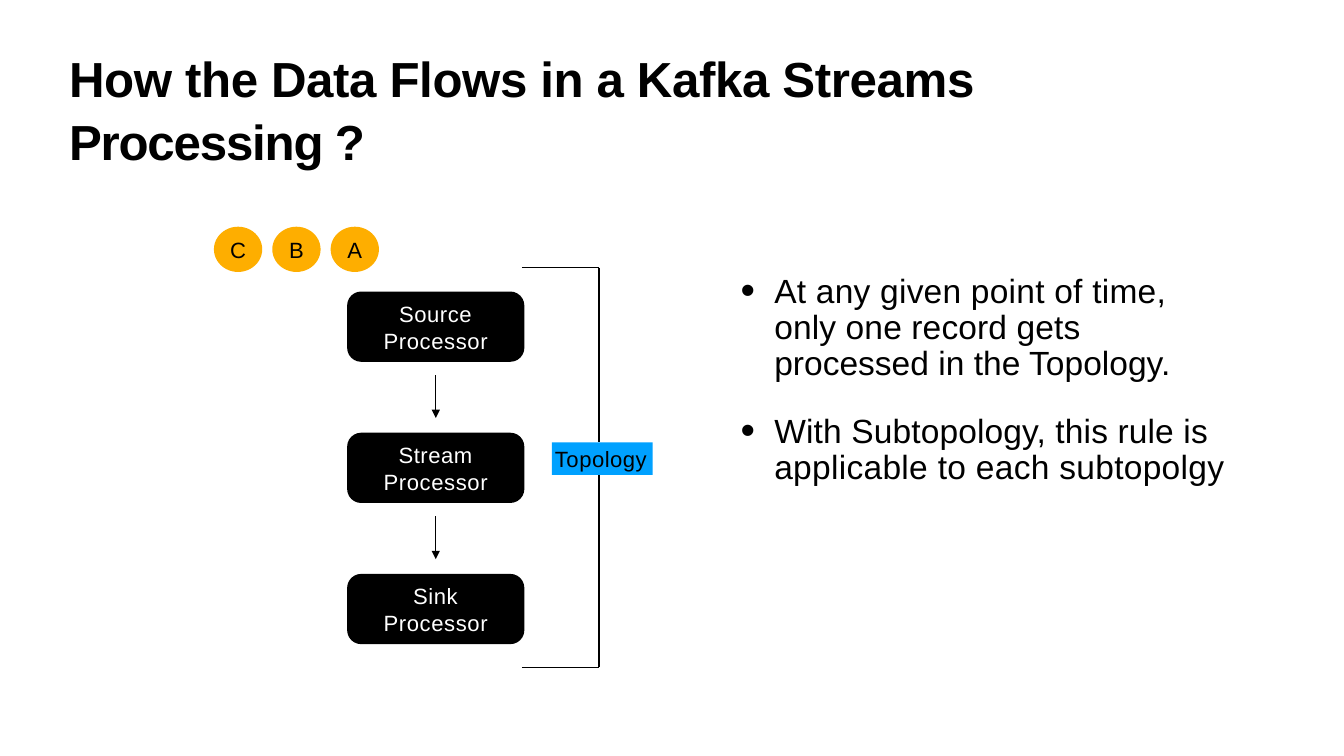
from pptx import Presentation
from pptx.dml.color import RGBColor
from pptx.enum.shapes import MSO_CONNECTOR, MSO_SHAPE
from pptx.enum.text import MSO_ANCHOR, PP_ALIGN
from pptx.oxml.ns import qn
from pptx.util import Inches, Pt
from lxml import etree

LEFT, CENTER = PP_ALIGN.LEFT, PP_ALIGN.CENTER
TOP, MIDDLE = MSO_ANCHOR.TOP, MSO_ANCHOR.MIDDLE
RECT, ROUNDED, OVAL = MSO_SHAPE.RECTANGLE, MSO_SHAPE.ROUNDED_RECTANGLE, MSO_SHAPE.OVAL
STRAIGHT = MSO_CONNECTOR.STRAIGHT

COLORS = {"black": "000000", "white": "FFFFFF", "orange": "FEAE00", "blue": "00A1FF"}
FONT = "Arial"

TITLE = [[("How the Data Flows in a Kafka Streams", -0.43), ("Processing ?", -1.4)]]
PROCESSORS = ["Source", "Stream", "Sink"]
RECORDS = ["A", "B", "C"]
BULLETS = [
    [("At any given point of time,", 0.3), ("only one record gets", 0.2),
     ("processed in the Topology.", 0.05)],
    [("With Subtopology, this rule is", 0.2), ("applicable to each subtopolgy", 0.4)],
]

BOX_LEFT, BOX_TOP, BOX_W, BOX_H, BOX_PITCH = 5.68, 4.77, 2.9, 1.15, 2.31
ARROW_START, ARROW_END = 1.37, 2.07
RECORD_LEFT, RECORD_TOP, RECORD_W, RECORD_H, RECORD_PITCH = 5.41, 3.71, 0.79, 0.74, 0.955
BRACKET_LEFT, BRACKET_RIGHT, BRACKET_TOP, BRACKET_BOTTOM = 8.54, 9.8, 4.38, 10.92
LABEL_LEFT, LABEL_TOP, LABEL_W, LABEL_H = 9.03, 7.24, 1.65, 0.53

prs = Presentation()
prs.slide_width, prs.slide_height = Inches(21.99), Inches(12.37)
s = prs.slides.add_slide(prs.slide_layouts[6])


def write_text(sp, paragraphs, size=26, color="black", bold=False, align=CENTER,
               anchor=MIDDLE, spacing=None, gap=0, bullet=False, inset=(0, 0)):
    tf = sp.text_frame
    tf.word_wrap = True
    tf.vertical_anchor = anchor
    tf.margin_left, tf.margin_top = Inches(inset[0]), Inches(inset[1])
    tf.margin_right = tf.margin_bottom = 0
    for i, lines in enumerate(paragraphs):
        p = tf.add_paragraph() if i else tf.paragraphs[0]
        p.alignment = align
        if spacing:
            p.line_spacing = spacing
        if i:
            p.space_before = Pt(gap)
        if bullet:
            pPr = p._p.get_or_add_pPr()
            pPr.set("marL", str(Inches(0.56)))
            pPr.set("indent", str(-Inches(0.55)))
            etree.SubElement(pPr, qn("a:buSzPct"), val="123000")
            etree.SubElement(pPr, qn("a:buFont"), typeface=FONT)
            etree.SubElement(pPr, qn("a:buChar"), char="•")
        for j, (text, tracking) in enumerate(lines):
            if j:
                p.add_line_break()
            r = p.add_run()
            r.text = text
            r.font.name, r.font.size, r.font.bold = FONT, Pt(size), bold
            r.font.color.rgb = RGBColor.from_string(COLORS[color])
            r.font._element.set("spc", str(round(tracking * 100)))


def add_box(kind, x, y, w, h, fill):
    sp = s.shapes.add_shape(kind, Inches(x), Inches(y), Inches(w), Inches(h))
    sp.shadow.inherit = False
    sp.fill.solid()
    sp.fill.fore_color.rgb = RGBColor.from_string(COLORS[fill])
    sp.line.fill.background()
    return sp


def add_line(x1, y1, x2, y2, arrow=False):
    line = s.shapes.add_connector(STRAIGHT, Inches(x1), Inches(y1), Inches(x2), Inches(y2))
    line.line.color.rgb = RGBColor.from_string(COLORS["black"])
    line.line.width = Pt(1.65)
    if arrow:
        etree.SubElement(line.line._get_or_add_ln(), qn("a:tailEnd"),
                         type="triangle", w="lg", len="lg")
    etree.SubElement(line._element.spPr, qn("a:effectLst"))


def add_text(x, y, w, h, paragraphs, **fmt):
    sp = s.shapes.add_textbox(Inches(x), Inches(y), Inches(w), Inches(h))
    write_text(sp, paragraphs, align=LEFT, anchor=TOP, **fmt)


add_text(1.12, 0.7, 19.67, 2, TITLE, size=58, bold=True, spacing=1.06, inset=(0.01, 0.04))

for i, name in enumerate(PROCESSORS):
    top = BOX_TOP + i * BOX_PITCH
    sp = add_box(ROUNDED, BOX_LEFT, top, BOX_W, BOX_H, "black")
    sp.adjustments[0] = 0.2
    write_text(sp, [[(name, 0.6), ("Processor", 0.7)]], color="white", spacing=1.03)
    if i < len(PROCESSORS) - 1:
        center = BOX_LEFT + BOX_W / 2
        add_line(center, top + ARROW_START, center, top + ARROW_END, arrow=True)

for i, name in enumerate(RECORDS):
    sp = add_box(OVAL, RECORD_LEFT - i * RECORD_PITCH, RECORD_TOP, RECORD_W, RECORD_H, "orange")
    write_text(sp, [[(name, 0.2)]])

for y, label_edge in [(BRACKET_TOP, LABEL_TOP), (BRACKET_BOTTOM, LABEL_TOP + LABEL_H)]:
    add_line(BRACKET_RIGHT, y, BRACKET_RIGHT, label_edge)
    add_line(BRACKET_LEFT, y, BRACKET_RIGHT, y)

label = add_box(RECT, LABEL_LEFT, LABEL_TOP, LABEL_W, LABEL_H, "blue")
write_text(label, [[("Topology", 0.6)]], align=LEFT, inset=(0.05, 0))

add_text(12.11, 4.31, 8.2, 3.56, BULLETS, size=39.5, spacing=Pt(42.4), gap=37.1,
         bullet=True, inset=(0, 0.18))

prs.save("out.pptx")
